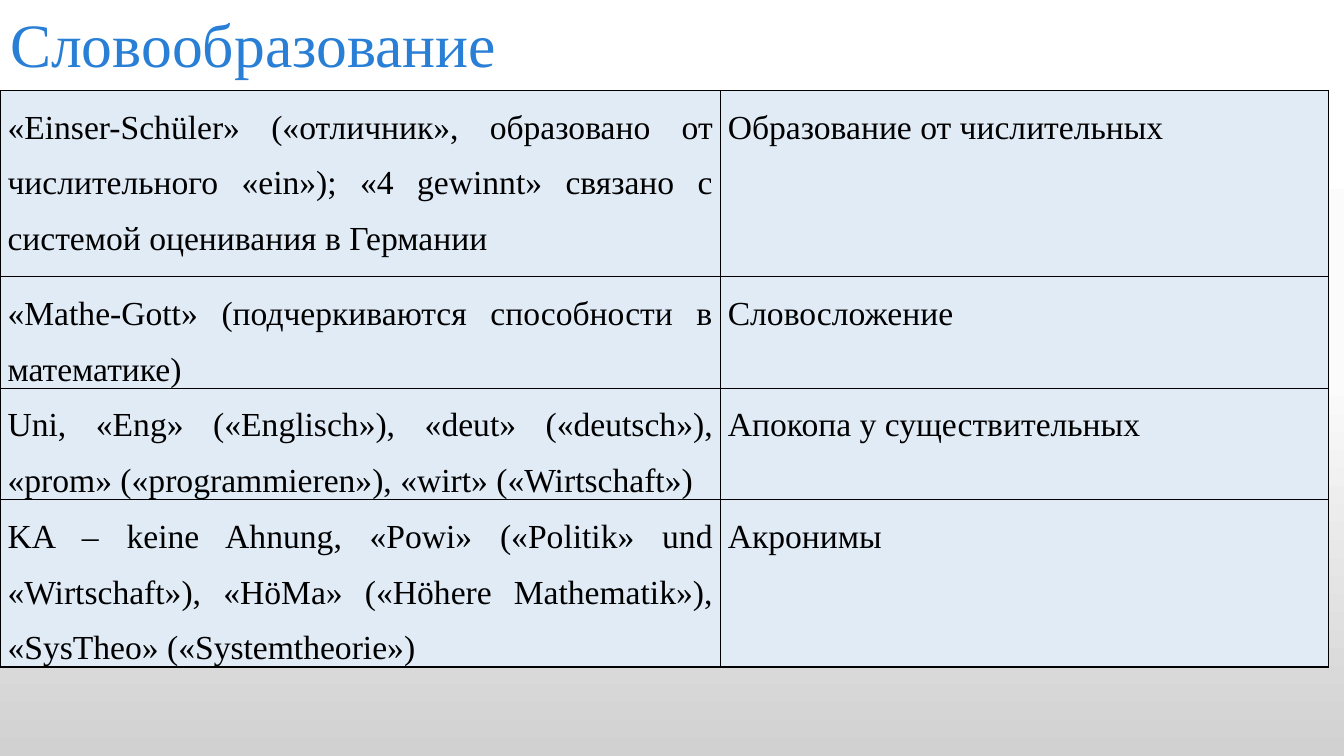
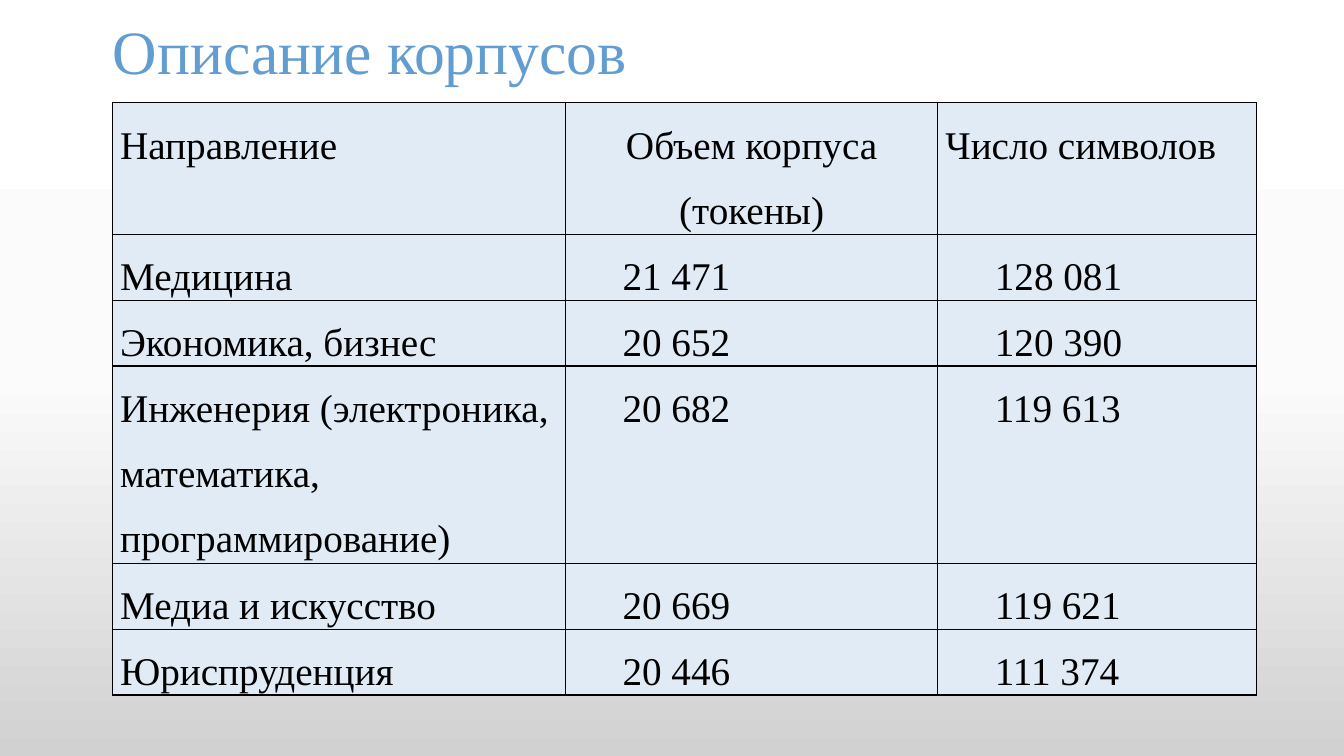
from lxml.etree import SubElement
from pptx import Presentation
from pptx.dml.color import RGBColor
from pptx.enum.text import MSO_ANCHOR as Anchor, MSO_AUTO_SIZE as AutoSize, PP_ALIGN as Align
from pptx.oxml.ns import qn
from pptx.util import Pt

FONT = "Times New Roman"
BLACK = RGBColor(0x00, 0x00, 0x00)
CELL_BLUE = RGBColor(0xE0, 0xEB, 0xF6)
TITLE_BLUE = RGBColor(0x29, 0x7F, 0xD5)
TITLE_SOFT_BLUE = RGBColor(0x62, 0x9D, 0xD1)
BACKDROP = {
    0: RGBColor(0xFF, 0xFF, 0xFF),
    50: RGBColor(0xFB, 0xFB, 0xFB),
    100: RGBColor(0xD1, 0xD1, 0xD1),
}

TITLE_FRAME = {"vertical_anchor": Anchor.MIDDLE, "word_wrap": True, "auto_size": AutoSize.NONE}
TITLE_PARA = {"alignment": Align.LEFT, "line_spacing": 0.9}
CELL_MARGINS = {
    "margin_left": Pt(5.4), "margin_right": Pt(5.4),
    "margin_top": Pt(0), "margin_bottom": Pt(0),
}
NUMBER_INDENT = Pt(35.4)

WORD_FORMATION = [
    ["«Einser-Schüler» («отличник», образовано от числительного «ein»); "
     "«4 gewinnt» связано с системой оценивания в Германии",
     "Образование от числительных"],
    ["«Mathe-Gott» (подчеркиваются способности в математике)", "Словосложение"],
    ["Uni, «Eng» («Englisch»), «deut» («deutsch»), «prom» («programmieren»), "
     "«wirt» («Wirtschaft»)",
     "Апокопа у существительных"],
    ["KA – keine Ahnung, «Powi» («Politik» und «Wirtschaft»), "
     "«HöMa» («Höhere Mathematik»), «SysTheo» («Systemtheorie»)",
     "Акронимы"],
]
CORPORA = [
    ["Направление", "Объем корпуса (токены)", "Число символов"],
    ["Медицина", "21 471", "128 081"],
    ["Экономика, бизнес", "20 652", "120 390"],
    ["Инженерия (электроника, математика, программирование)", "20 682", "119 613"],
    ["Медиа и искусство", "20 669", "119 621"],
    ["Юриспруденция", "20 446", "111 374"],
]


def apply(target, values):
    """Set each named attribute of the target."""
    for name, value in values.items():
        setattr(target, name, value)


def style_text(para, size, color, values):
    """Format a paragraph and its font."""
    apply(para, values)
    apply(para.font, {"name": FONT, "size": Pt(size)})
    para.font.color.rgb = color


def paint_backdrop(master):
    """Give the master its vertical three-stop gradient."""
    fill = master.background.fill
    fill.gradient()
    fill.gradient_angle = 270
    stops = master.element.find(".//" + qn("a:gsLst"))
    for stop in list(stops):
        stops.remove(stop)
    for percent, color in BACKDROP.items():
        stop = SubElement(stops, qn("a:gs"), pos=str(percent * 1000))
        SubElement(stop, qn("a:srgbClr"), val=str(color))


def add_titled_page(deck, text, box, color):
    """Add a title-only page with its title placed in the box."""
    page = deck.slides.add_slide(deck.slide_layouts[5])
    title = page.shapes.title
    apply(title, dict(zip(("left", "top", "width", "height"), map(Pt, box))))
    apply(title.text_frame, TITLE_FRAME)
    title.text_frame.text = text
    style_text(title.text_frame.paragraphs[0], 44, color, TITLE_PARA)
    return page


def draw_borders(cell):
    """Outline a cell with thin black lines."""
    properties = cell._tc.get_or_add_tcPr()
    for side in ("a:lnL", "a:lnR", "a:lnT", "a:lnB"):
        line = SubElement(properties, qn(side), w=str(Pt(1)))
        fill = SubElement(line, qn("a:solidFill"))
        SubElement(fill, qn("a:srgbClr"), val=str(BLACK))


def add_grid(page, origin, widths, heights, rows, size, layout_of):
    """Add a bordered table; layout_of gives a cell's paragraph values and indent."""
    left, top = origin
    frame = page.shapes.add_table(
        len(rows), len(widths), Pt(left), Pt(top), Pt(sum(widths)), Pt(sum(heights)))
    table = frame.table
    apply(table, {"first_row": False, "horz_banding": False})
    for column, width in zip(table.columns, widths):
        column.width = Pt(width)
    for r, (height, texts) in enumerate(zip(heights, rows)):
        table.rows[r].height = Pt(height)
        for c, text in enumerate(texts):
            cell = table.cell(r, c)
            apply(cell, CELL_MARGINS)
            draw_borders(cell)
            cell.fill.solid()
            cell.fill.fore_color.rgb = CELL_BLUE
            cell.text = text
            para = cell.text_frame.paragraphs[0]
            values, indent = layout_of(r, c)
            para._p.get_or_add_pPr().set("indent", str(indent))
            style_text(para, size, BLACK, {"line_spacing": 1.5, **values})


def justified_layout(row, column):
    """Justify every cell."""
    return {"alignment": Align.JUSTIFY, "space_after": Pt(10)}, 0


def corpus_layout(row, column):
    """Centre the volume heading and indent the numbers."""
    centred = (row, column) == (0, 1)
    indent = NUMBER_INDENT if row and column else 0
    return {"alignment": Align.CENTER if centred else Align.LEFT}, indent


def add_word_formation(deck):
    """Add the page on word formation."""
    page = add_titled_page(deck, "Словообразование", (0, 0, 828, 68.4), TITLE_BLUE)
    add_grid(page, (0, 64.8), (514.5, 434.5), (133, 75, 75, 75),
             WORD_FORMATION, 24, justified_layout)


def add_corpora(deck):
    """Add the page describing the corpora."""
    page = add_titled_page(deck, "Описание корпусов", (73.4, -16.6, 712.8, 110.9), TITLE_SOFT_BLUE)
    line = 47
    add_grid(page, (80.4, 73.4), (323.5, 266, 227.5),
             [line * count for count in (2, 1, 1, 3, 1, 1)],
             CORPORA, 28, corpus_layout)


def main():
    """Build and save the deck."""
    deck = Presentation()
    apply(deck, {"slide_width": Pt(960), "slide_height": Pt(540)})
    paint_backdrop(deck.slide_master)
    add_word_formation(deck)
    add_corpora(deck)
    deck.save("out.pptx")


if __name__ == "__main__":
    main()
